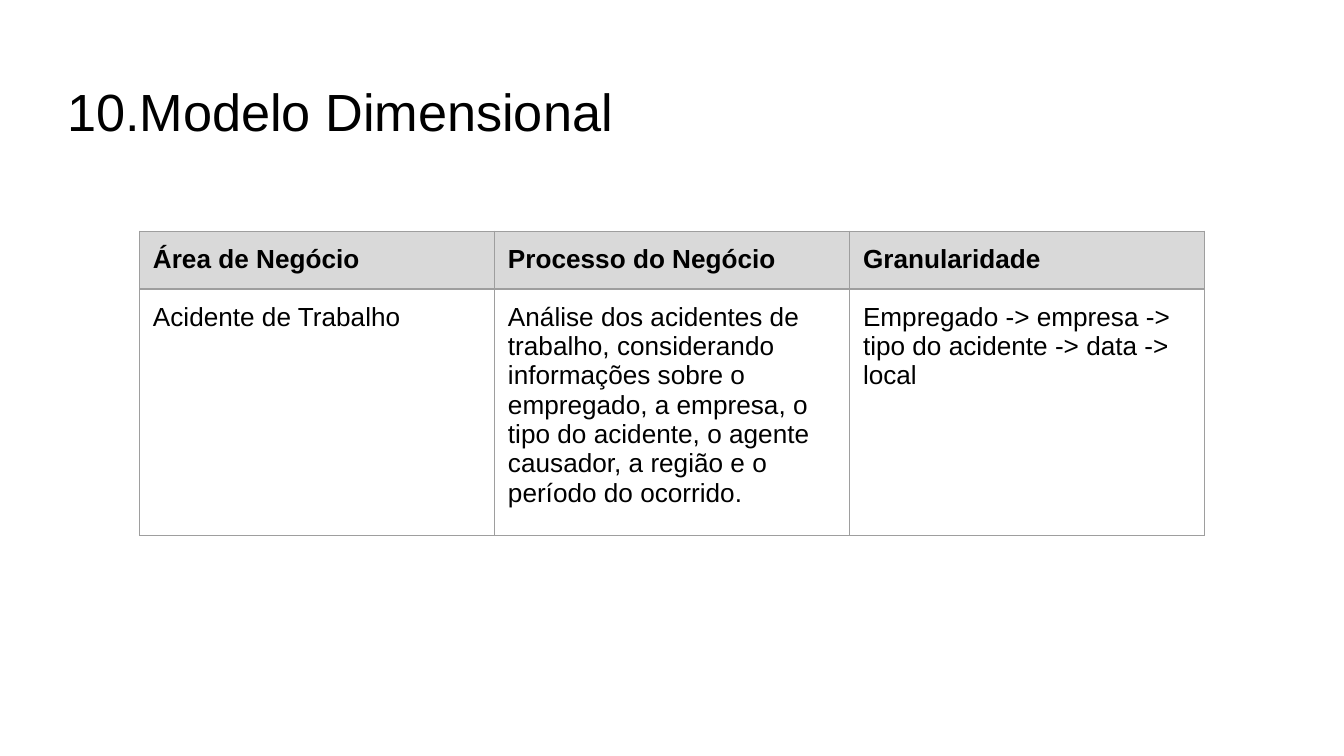
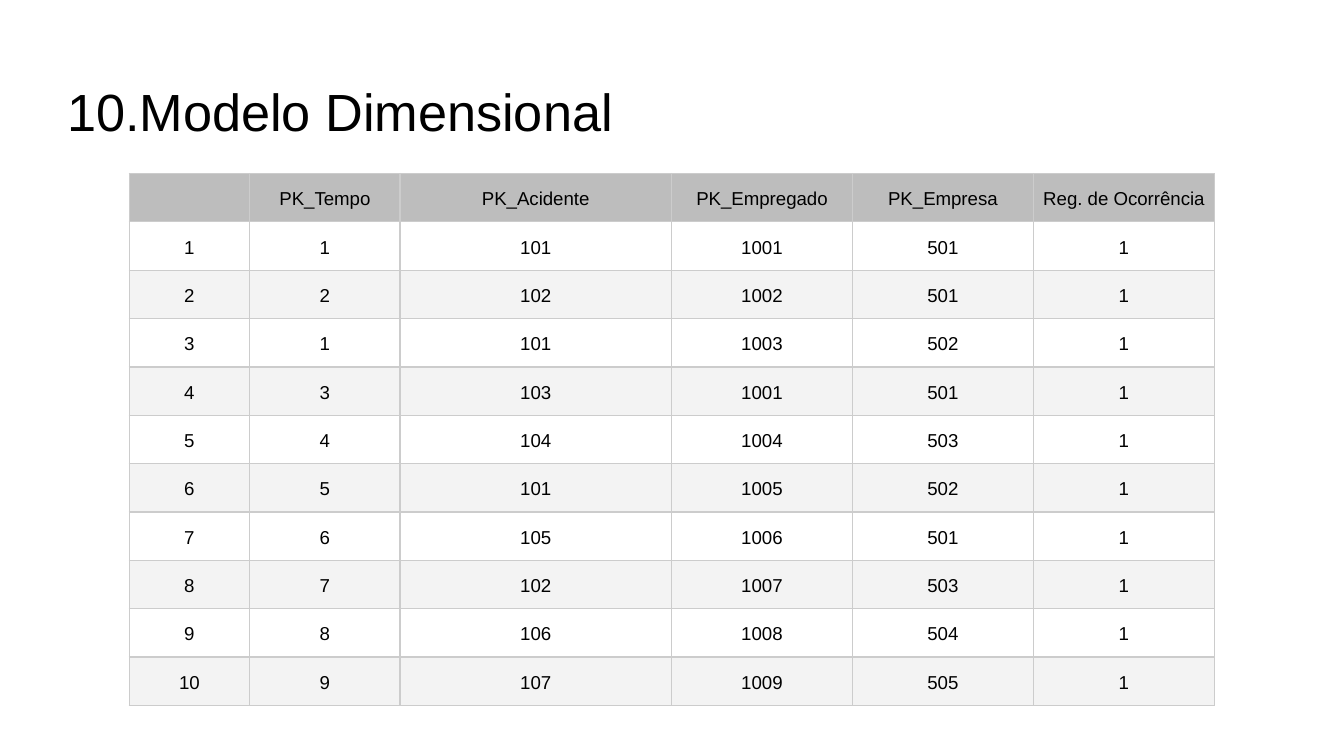
from lxml import etree
from pptx import Presentation
from pptx import util as u
from pptx.dml import color
from pptx.enum import text
from pptx.oxml import ns

COLORS = {
    "ink": "000000",
    "white": "FFFFFF",
    "stripe": "F3F3F3",
    "area_header": "D9D9D9",
    "area_border": "9E9E9E",
    "fact_header": "BDBDBD",
    "fact_border": "CCCCCC",
}


class Deck:
    """Holds the shared style and the slide being filled."""

    font = "Arial"
    inset = 0.25

    def __init__(self):
        self.prs = Presentation()
        self.prs.slide_width, self.prs.slide_height = u.Cm(25.4), u.Cm(14.29)
        self.slide = None

    def new_slide(self, heading, number):
        self.slide = self.prs.slides.add_slide(self.prs.slide_layouts[6])
        self.title(heading, number)

    def add_words(self, paragraph, words, size, bold=False):
        run = paragraph.add_run()
        run.text = words
        run.font.name = self.font
        run.font.size = u.Pt(size)
        run.font.bold = bold
        run.font.color.rgb = color.RGBColor.from_string(COLORS["ink"])

    def set_margins(self, target, side, top):
        target.margin_left = target.margin_right = u.Cm(side)
        target.margin_top = target.margin_bottom = u.Cm(top)

    def title(self, heading, number):
        box = self.slide.shapes.add_textbox(u.Cm(0.87), u.Cm(1.24), u.Cm(23.67), u.Cm(1.6))
        frame = box.text_frame
        frame.word_wrap = True
        frame.vertical_anchor = text.MSO_ANCHOR.TOP
        self.set_margins(frame, self.inset, self.inset)
        paragraph = frame.paragraphs[0]
        self.add_words(paragraph, heading, 28)
        # Automatic numbering with a hanging indent
        props = paragraph._p.get_or_add_pPr()
        props.set("marL", str(u.Cm(1.27)))
        props.set("indent", str(u.Cm(-1.12)))
        bullet_color = etree.SubElement(props, ns.qn("a:buClr"))
        etree.SubElement(bullet_color, ns.qn("a:srgbClr"), val=COLORS["ink"])
        etree.SubElement(props, ns.qn("a:buFont"), typeface=self.font)
        etree.SubElement(props, ns.qn("a:buAutoNum"), type="arabicPeriod", startAt=str(number))

    def border(self, cell, shade):
        props = cell._tc.get_or_add_tcPr()
        for place, side in enumerate(("lnL", "lnR", "lnT", "lnB")):
            line = etree.Element(ns.qn(f"a:{side}"), w=str(u.Pt(0.75)))
            fill = etree.SubElement(line, ns.qn("a:solidFill"))
            etree.SubElement(fill, ns.qn("a:srgbClr"), val=COLORS[shade])
            props.insert(place, line)

    def table(self, left, top, widths, heights, rows, fills, border, size,
              margins, bold_header=False, centered=False):
        """Fill the first row with fills[0]; the others alternate through the rest."""
        grid = self.slide.shapes.add_table(
            len(rows), len(widths), u.Cm(left), u.Cm(top),
            u.Cm(sum(widths)), u.Cm(sum(heights))).table
        grid.first_row = grid.horz_banding = False
        for column, width in zip(grid.columns, widths):
            column.width = u.Cm(width)
        header, *body = fills
        for r, (row, height, values) in enumerate(zip(grid.rows, heights, rows)):
            row.height = u.Cm(height)
            shade = body[(r - 1) % len(body)] if r else header
            for cell, words in zip(row.cells, values):
                self.set_margins(cell, *margins)
                cell.fill.solid()
                cell.fill.fore_color.rgb = color.RGBColor.from_string(COLORS[shade])
                self.border(cell, border)
                if not words:
                    continue
                paragraph = cell.text_frame.paragraphs[0]
                if centered:
                    cell.vertical_anchor = text.MSO_ANCHOR.MIDDLE
                    paragraph.alignment = text.PP_ALIGN.CENTER
                    paragraph.line_spacing = 1.15
                self.add_words(paragraph, str(words), size, bold_header and r == 0)


HEADING, SECTION = "Modelo Dimensional", 10

BUSINESS_AREA = [
    ("Área de Negócio", "Processo do Negócio", "Granularidade"),
    ("Acidente de Trabalho",
     "Análise dos acidentes de trabalho, considerando informações sobre o "
     "empregado, a empresa, o tipo do acidente, o agente causador, a região "
     "e o período do ocorrido.",
     "Empregado -> empresa -> tipo do acidente -> data -> local"),
]

FACT_HEADER = ("", "PK_Tempo", "PK_Acidente", "PK_Empregado", "PK_Empresa",
               "Reg. de Ocorrência")
# Time, accident, employee and company keys
FACT_KEYS = [
    (1, 101, 1001, 501),
    (2, 102, 1002, 501),
    (1, 101, 1003, 502),
    (3, 103, 1001, 501),
    (4, 104, 1004, 503),
    (5, 101, 1005, 502),
    (6, 105, 1006, 501),
    (7, 102, 1007, 503),
    (8, 106, 1008, 504),
    (9, 107, 1009, 505),
]


def main():
    deck = Deck()

    # Business area, process and granularity
    deck.new_slide(HEADING, SECTION)
    deck.table(2.64, 4.37, [6.71] * 3, [1.06, 4.39], BUSINESS_AREA,
               ("area_header", "white"), "area_border", 14,
               (deck.inset, deck.inset), bold_header=True)

    # Fact table, one occurrence per record
    deck.new_slide(HEADING, SECTION)
    facts = [FACT_HEADER] + [(n, *keys, 1) for n, keys in enumerate(FACT_KEYS, 1)]
    deck.table(2.44, 3.28, [2.28, 2.84, 5.13] + [3.42] * 3,
               [10.06 / len(facts)] * len(facts), facts,
               ("fact_header", "white", "stripe"), "fact_border", 10,
               (0.08, 0.05), centered=True)

    deck.prs.save("out.pptx")


if __name__ == "__main__":
    main()
